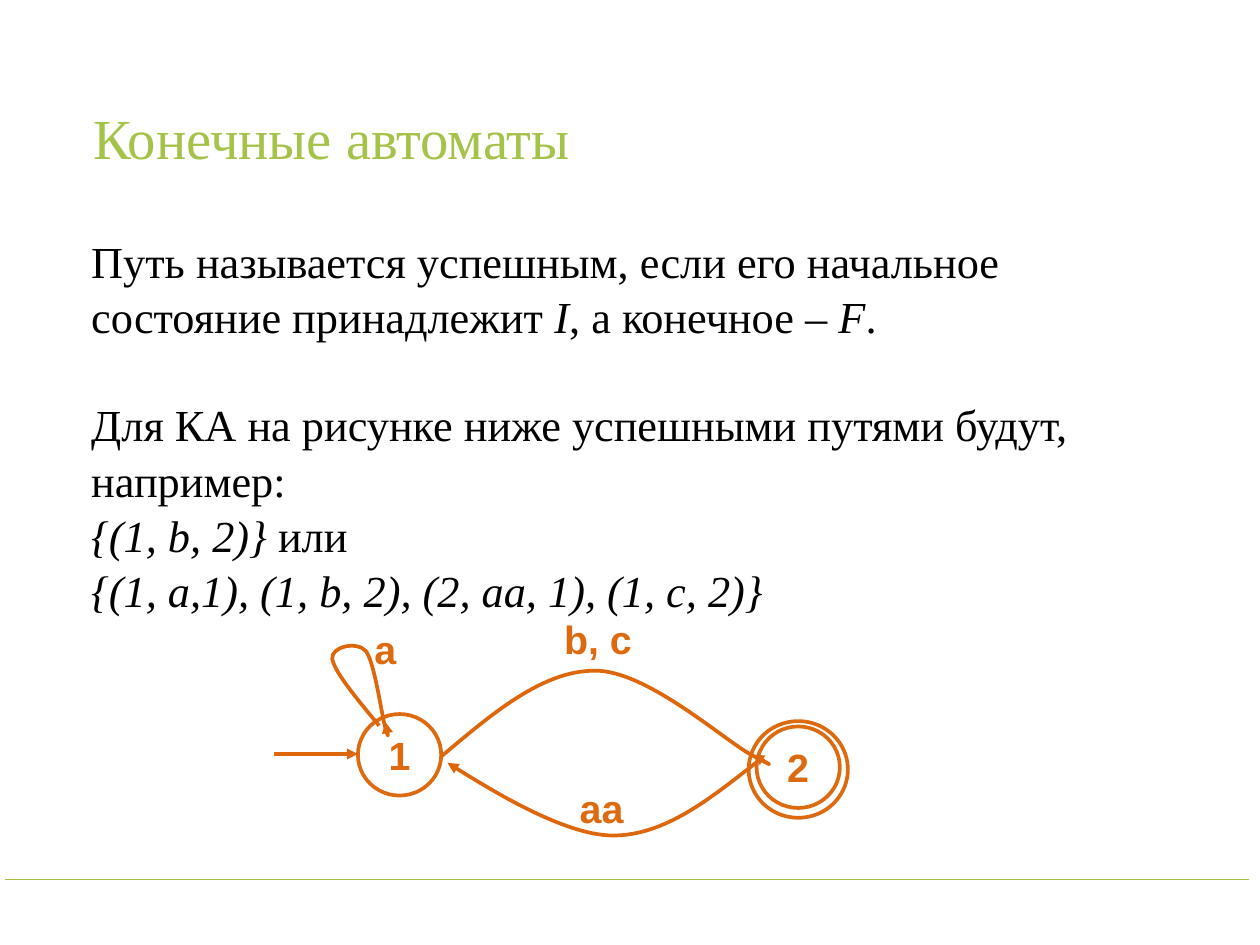
from lxml.etree import SubElement
from pptx import Presentation
from pptx.dml.color import RGBColor
from pptx.enum.shapes import MSO_CONNECTOR as Connector, MSO_SHAPE as Preset
from pptx.enum.text import MSO_ANCHOR as Anchor, PP_ALIGN as Align
from pptx.oxml.ns import qn
from pptx.util import Inches, Pt

COLUMNS, ROWS = 64, 48


def color(hex_string):
    return RGBColor.from_string(hex_string)


class AutomatonSlide:
    """Draws on one slide; every length is in columns and rows of the grid."""
    serif, sans = "Times New Roman", "Arial"
    heading, ink, node, edge, rule = "A5C249", "000000", "DE6A10", "DE670B", "A3C044"

    def __init__(self, deck):
        self.slide = deck.slides.add_slide(deck.slide_layouts[5])
        self.shapes = self.slide.shapes
        self.column = deck.slide_width / COLUMNS
        self.row = deck.slide_height / ROWS

    def cells(self, *lengths):
        """Turn alternating column and row counts into slide units."""
        return [round(n * (self.row if i % 2 else self.column))
                for i, n in enumerate(lengths)]

    def frame(self, shape, anchor, inset, side_inset=None):
        text = shape.text_frame
        text.word_wrap = True
        text.vertical_anchor = anchor
        text.margin_top = text.margin_bottom = Inches(inset)
        text.margin_left = text.margin_right = Inches(side_inset or inset)
        return text

    def run(self, paragraph, words, size, font, hex_string, bold=False, italic=False):
        run = paragraph.add_run()
        run.text = words
        run.font.size, run.font.name = Pt(size), font
        run.font.bold, run.font.italic = bold, italic
        run.font.color.rgb = color(hex_string)

    def mark(self, shape, words, anchor=Anchor.MIDDLE, inset=0.06, side_inset=None):
        """Write the bold name of a state or of a transition."""
        paragraph = self.frame(shape, anchor, inset, side_inset).paragraphs[0]
        paragraph.alignment = Align.CENTER
        self.run(paragraph, words, 32, self.sans, self.node, bold=True)

    def title(self, words, *box):
        heading = self.shapes.title
        heading.left, heading.top, heading.width, heading.height = self.cells(*box)
        paragraph = self.frame(heading, Anchor.MIDDLE, 0.07).paragraphs[0]
        paragraph.alignment, paragraph.line_spacing = Align.LEFT, 0.9
        self.run(paragraph, words, 46, self.serif, self.heading)

    def body(self, paragraphs, *box):
        """Each paragraph is its space before and its (words, italic) runs."""
        text = self.frame(self.shapes.add_textbox(*self.cells(*box)), Anchor.TOP, 0.07)
        for i, (gap, runs) in enumerate(paragraphs):
            paragraph = text.add_paragraph() if i else text.paragraphs[0]
            paragraph.line_spacing, paragraph.space_before = 1.04, Pt(gap)
            for words, italic in runs:
                self.run(paragraph, words, 36, self.serif, self.ink, italic=italic)

    def label(self, words, *box):
        self.mark(self.shapes.add_textbox(*self.cells(*box)), words)

    def stroke(self, shape, hex_string, width=3, arrow=False):
        shape.line.color.rgb = color(hex_string)
        shape.line.width = Pt(width)
        if arrow:
            outline = shape._element.spPr.find(qn("a:ln"))
            SubElement(outline, qn("a:tailEnd"), type="triangle")

    def circle(self, *box, name=None):
        state = self.shapes.add_shape(Preset.OVAL, *self.cells(*box))
        state.shadow.inherit = False
        state.fill.solid()
        state.fill.fore_color.rgb = color("FFFFFF")
        self.stroke(state, self.node)
        if name:
            self.mark(state, name)

    def line(self, *ends, hex_string, width=3, arrow=False):
        line = self.shapes.add_connector(Connector.STRAIGHT, *self.cells(*ends))
        self.stroke(line, hex_string, width, arrow)
        SubElement(line._element.spPr, qn("a:effectLst"))

    def curve(self, start, *points, name=None):
        """Draw an arrow of cubic arcs, three points to an arc."""
        builder = self.shapes.build_freeform(*self.cells(*start))
        builder.add_line_segments([self.cells(*p) for p in points], close=False)
        transition = builder.convert_to_shape()
        outline = transition._element.find(".//" + qn("a:path"))
        segments = outline.findall(qn("a:lnTo"))
        for i in range(0, len(segments), 3):
            arc = SubElement(outline, qn("a:cubicBezTo"))
            for segment in segments[i:i + 3]:
                arc.append(segment[0])
                outline.remove(segment)
        transition.shadow.inherit = False
        transition.fill.background()
        self.stroke(transition, self.edge, arrow=True)
        if name:
            self.mark(transition, name, Anchor.BOTTOM, 0.05, 0.1)


def main():
    deck = Presentation()
    deck.slide_width, deck.slide_height = Inches(14.22), Inches(10.67)
    page = AutomatonSlide(deck)

    page.title("Конечные автоматы", 4.41, 2.56, 55.22, 9.27)
    page.line(0.27, 44.69, 63.45, 44.69, hex_string=page.rule, width=1)
    page.body([
        (0, [("Путь называется успешным, если его начальное состояние принадлежит ", False),
             ("I", True), (", а конечное – ", False), ("F", True), (".", False)]),
        (43, [("Для КА на рисунке ниже успешными путями будут, например:", False)]),
        (0, [("{(1, b, 2)}", True), (" или", False)]),
        (0, [("{(1, a,1), (1, b, 2), (2, aa, 1), (1, с, 2)}", True)]),
    ], 4.32, 11.48, 56.39, 35.24)

    page.circle(38.03, 36.63, 5.04, 4.91)
    for name, left, top in (("1", 18.18, 36.27), ("2", 38.43, 36.9)):
        page.circle(left, top, 4.23, 4.14, name=name)

    page.curve((19.26, 36.86),
               (18.14, 35.51), (17.01, 34.16), (16.88, 33.48),
               (16.79, 32.85), (18.14, 32.54), (18.59, 33.08),
               (19.04, 33.66), (19.4, 36.41), (19.58, 36.99),
               (19.76, 37.58), (19.67, 37.13), (19.58, 36.68))
    page.curve((22.41, 38.43),
               (24.98, 36.27), (27.54, 34.07), (30.2, 34.07),
               (32.81, 34.02), (36.81, 37.62), (38.16, 38.34),
               (39.51, 39.06), (38.88, 38.7), (38.25, 38.34))
    page.curve((38.39, 38.75),
               (36.05, 40.59), (33.75, 42.44), (31.14, 42.44),
               (28.53, 42.44), (22.73, 38.75), (22.73, 38.75), name="aa")
    page.label("a", 18.18, 31.5, 2.79, 2.93)
    page.label("b, c", 28.04, 30.96, 4.68, 2.93)
    page.line(13.91, 38.3, 18.18, 38.3, hex_string=page.edge, arrow=True)

    deck.save("out.pptx")


if __name__ == "__main__":
    main()
